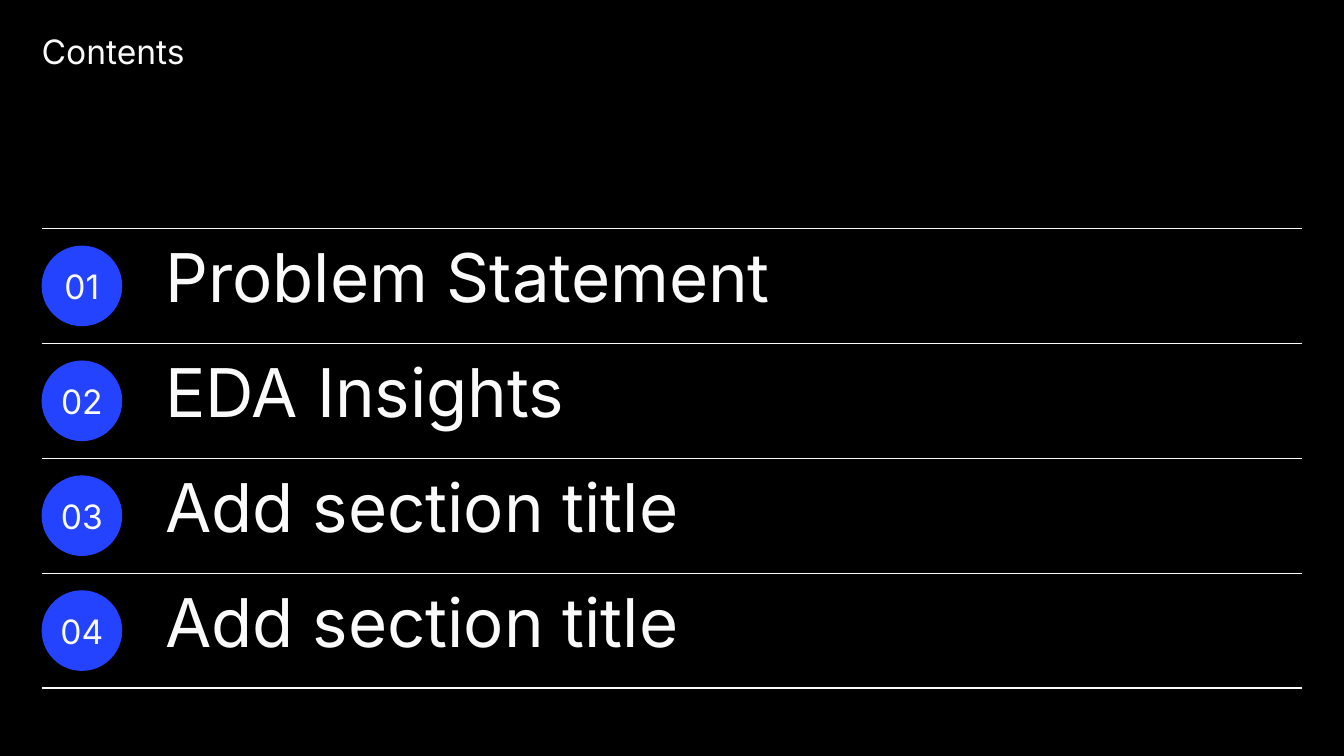
from dataclasses import dataclass

from pptx import Presentation
from pptx.dml.color import RGBColor
from pptx.enum.shapes import MSO_CONNECTOR, MSO_SHAPE
from pptx.enum.text import MSO_ANCHOR, MSO_AUTO_SIZE, PP_ALIGN
from pptx.oxml.ns import qn
from pptx.util import Inches, Pt
from lxml import etree


@dataclass(frozen=True)
class Theme:
    font: str = "Inter"
    background: RGBColor = RGBColor(0x00, 0x00, 0x00)
    foreground: RGBColor = RGBColor(0xFA, 0xFA, 0xFA)
    accent: RGBColor = RGBColor(0x24, 0x43, 0xFF)
    label_size: Pt = Pt(18)
    section_size: Pt = Pt(36)
    rule_width: Pt = Pt(0.75)


theme = Theme()
sections = ["Problem Statement", "EDA Insights", "Add section title", "Add section title"]

# Grid: equal rows between the first and last rule
left, right = 0.31, 9.69
list_top, list_bottom = 1.7, 5.12
row_height = (list_bottom - list_top) / len(sections)
badge_size = 0.6


def write(shape, text, size, align, anchor, line_spacing=None):
    """Fill a shape with one line of text, without insets."""
    frame = shape.text_frame
    frame.word_wrap = True
    frame.margin_left = frame.margin_right = frame.margin_top = frame.margin_bottom = 0
    frame.vertical_anchor = anchor
    paragraph = frame.paragraphs[0]
    paragraph.alignment = align
    if line_spacing:
        paragraph.line_spacing = line_spacing
    run = paragraph.add_run()
    run.text = text
    run.font.name = theme.font
    run.font.size = size
    run.font.color.rgb = theme.foreground


# Widescreen page, 16:9
prs = Presentation()
prs.slide_width = Inches(10)
prs.slide_height = Inches(10 * 9 / 16)
slide = prs.slides.add_slide(prs.slide_layouts[5])
slide.background.fill.solid()
slide.background.fill.fore_color.rgb = theme.background

# Title
title = slide.shapes.title
title.left, title.top = Inches(left), Inches(0.31)
title.width, title.height = Inches(4.62), Inches(0.21)
write(title, "Contents", theme.label_size, PP_ALIGN.LEFT, MSO_ANCHOR.TOP, 0.7)
title.text_frame.auto_size = MSO_AUTO_SIZE.SHAPE_TO_FIT_TEXT

# Rules above, between and below the rows
for index in range(len(sections) + 1):
    y = Inches(list_top + index * row_height)
    rule = slide.shapes.add_connector(MSO_CONNECTOR.STRAIGHT, Inches(left), y, Inches(right), y)
    rule.line.color.rgb = theme.foreground
    rule.line.width = theme.rule_width
    etree.SubElement(rule._element.spPr, qn("a:effectLst"))

# Numbered sections
for index, section in enumerate(sections):
    row_top = list_top + index * row_height

    badge = slide.shapes.add_shape(
        MSO_SHAPE.OVAL, Inches(left), Inches(row_top + (row_height - badge_size) / 2),
        Inches(badge_size), Inches(badge_size))
    badge.shadow.inherit = False
    badge.fill.solid()
    badge.fill.fore_color.rgb = theme.accent
    badge.line.fill.background()
    write(badge, f"{index + 1:02}", theme.label_size, PP_ALIGN.CENTER, MSO_ANCHOR.MIDDLE)

    heading = slide.shapes.add_textbox(
        Inches(1.23), Inches(row_top), Inches(6.08), Inches(row_height))
    write(heading, section, theme.section_size, PP_ALIGN.LEFT, MSO_ANCHOR.MIDDLE, 0.7)

prs.save("out.pptx")
